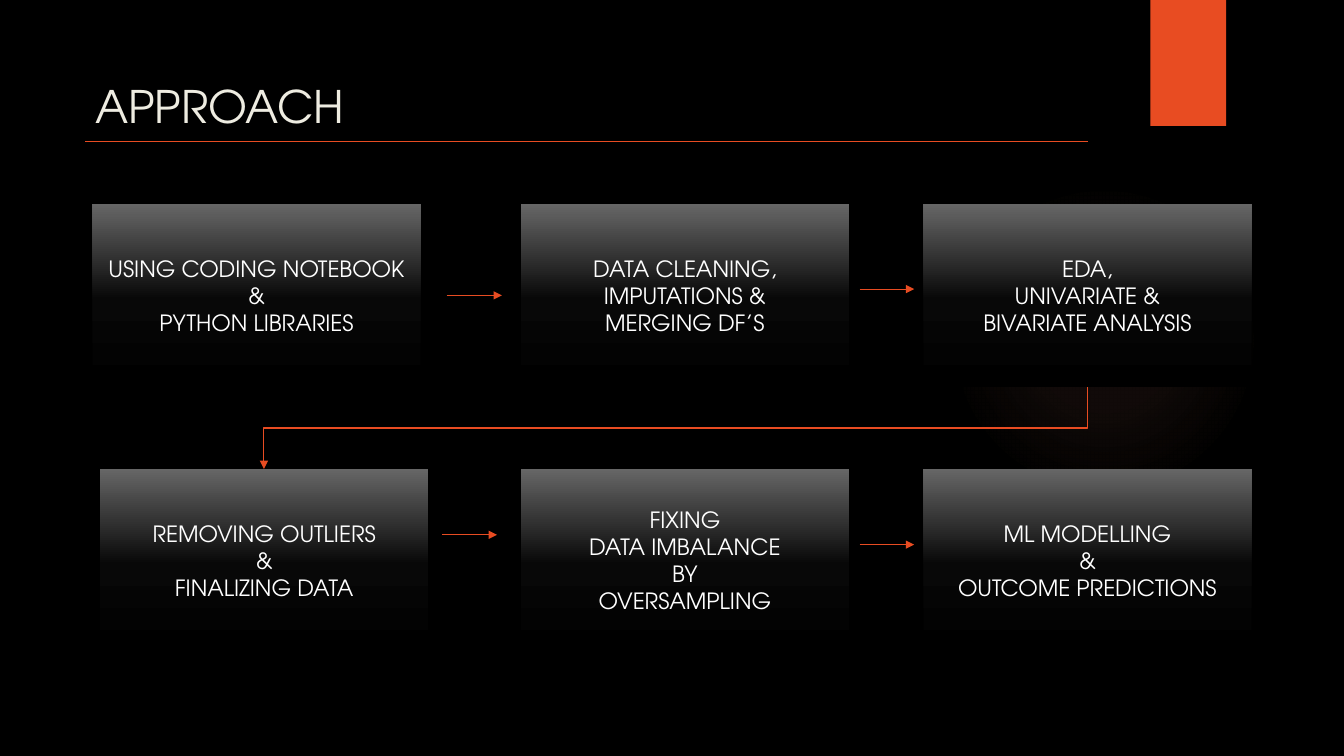
"""Build the Approach slide: six process steps joined by arrows."""
from lxml.etree import SubElement
from pptx import Presentation
from pptx.dml.color import RGBColor
from pptx.enum.shapes import MSO_CONNECTOR as CONNECTOR, MSO_SHAPE as SHAPE
from pptx.enum.text import MSO_ANCHOR as ANCHOR, PP_ALIGN as ALIGN
from pptx.oxml import parse_xml
from pptx.oxml.ns import nsdecls, qn
from pptx.util import Pt

FONT = "TeX Gyre Adventor"
ORANGE = "E84C22"


def color(hex_string):
    return RGBColor.from_string(hex_string)


def set_gradient(shape, stops, direction):
    stop_xml = "".join(
        f'<a:gs pos="{position * 1000}"><a:srgbClr val="{hex_string}">'
        f'<a:alpha val="{alpha * 1000}"/></a:srgbClr></a:gs>'
        for position, hex_string, alpha in stops)
    gradient = parse_xml(f'<a:gradFill {nsdecls("a")} rotWithShape="1">'
                         f'<a:gsLst>{stop_xml}</a:gsLst>{direction}</a:gradFill>')
    shape.shadow.inherit = False
    shape.line.fill.background()
    shape._element.spPr.find(qn("a:prstGeom")).addnext(gradient)


presentation = Presentation()
presentation.slide_width, presentation.slide_height = Pt(960), Pt(540)
slide = presentation.slides.add_slide(presentation.slide_layouts[6])
slide.background.fill.solid()
slide.background.fill.fore_color.rgb = color("000000")

glow = slide.shapes.add_shape(SHAPE.OVAL, Pt(677.5), Pt(132), Pt(222), Pt(222))
set_gradient(glow, [(0, "F1947A", 7), (36, "F1947A", 6), (69, "F1947A", 0)],
             '<a:path path="circle"><a:fillToRect l="50000" t="50000" r="50000" b="50000"/></a:path>')

ribbon = slide.shapes.add_shape(SHAPE.RECTANGLE, Pt(821.75), 0, Pt(54), Pt(90))
ribbon.shadow.inherit = False
ribbon.fill.solid()
ribbon.fill.fore_color.rgb = color(ORANGE)
ribbon.line.fill.background()

title = slide.shapes.add_textbox(Pt(61), Pt(51), Pt(731), Pt(54))
title.text_frame.word_wrap = True
title.text_frame.vertical_anchor = ANCHOR.MIDDLE
paragraph = title.text_frame.paragraphs[0]
paragraph.line_spacing = 0.9
run = paragraph.add_run()
run.text = "APPROACH"
run.font.name, run.font.size = FONT, Pt(32)
run.font.color.rgb = color("EEECE1")

steps = [
    (66, 146, ["USING CODING NOTEBOOK &", "PYTHON LIBRARIES"]),
    (372, 146, ["DATA CLEANING, IMPUTATIONS &", "MERGING DF’S"]),
    (659.5, 146, ["EDA,", "UNIVARIATE &", "BIVARIATE ANALYSIS"]),
    (71.5, 335, ["REMOVING OUTLIERS", "&", "FINALIZING DATA"]),
    (372, 335, ["FIXING", "DATA IMBALANCE", "BY", "OVERSAMPLING"]),
    (659.5, 335, ["ML MODELLING", "&", "OUTCOME PREDICTIONS"]),
]
for left, top, lines in steps:
    box = slide.shapes.add_shape(SHAPE.RECTANGLE, Pt(left), Pt(top), Pt(234.5), Pt(130.5))
    set_gradient(box, [(0, "000000", 100), (48, "080808", 100), (100, "666666", 100)],
                 '<a:lin ang="16200000" scaled="0"/>')
    frame = box.text_frame
    frame.word_wrap = True
    frame.vertical_anchor = ANCHOR.MIDDLE
    for index, line in enumerate(lines):
        paragraph = frame.add_paragraph() if index else frame.paragraphs[0]
        paragraph.alignment = ALIGN.CENTER
        run = paragraph.add_run()
        run.text = line
        run.font.name, run.font.size = FONT, Pt(16)
        run.font.color.rgb = color("FFFFFF")

connectors = [
    (CONNECTOR.STRAIGHT, 319, 211, 358.5, 211, 0, True),
    (CONNECTOR.STRAIGHT, 614, 206.5, 653, 206.5, 0, True),
    (CONNECTOR.STRAIGHT, 316, 382, 355, 382, 0, True),
    (CONNECTOR.STRAIGHT, 614, 389, 653, 389, 0, True),
    (CONNECTOR.ELBOW, 453.5, 11.5, 512, 600, 90, True),
    (CONNECTOR.STRAIGHT, 61, 101, 777, 101, 0, False),
]
for kind, x1, y1, x2, y2, rotation, has_arrow in connectors:
    connector = slide.shapes.add_connector(kind, Pt(x1), Pt(y1), Pt(x2), Pt(y2))
    connector.line.color.rgb = color(ORANGE)
    connector.line.width = Pt(0.75)
    properties = connector._element.spPr
    SubElement(properties, qn("a:effectLst"))
    if rotation:
        properties.find(qn("a:xfrm")).set("rot", str(rotation * 60000))
    if has_arrow:
        SubElement(properties.find(qn("a:ln")), qn("a:tailEnd"), type="triangle")

presentation.save("out.pptx")
